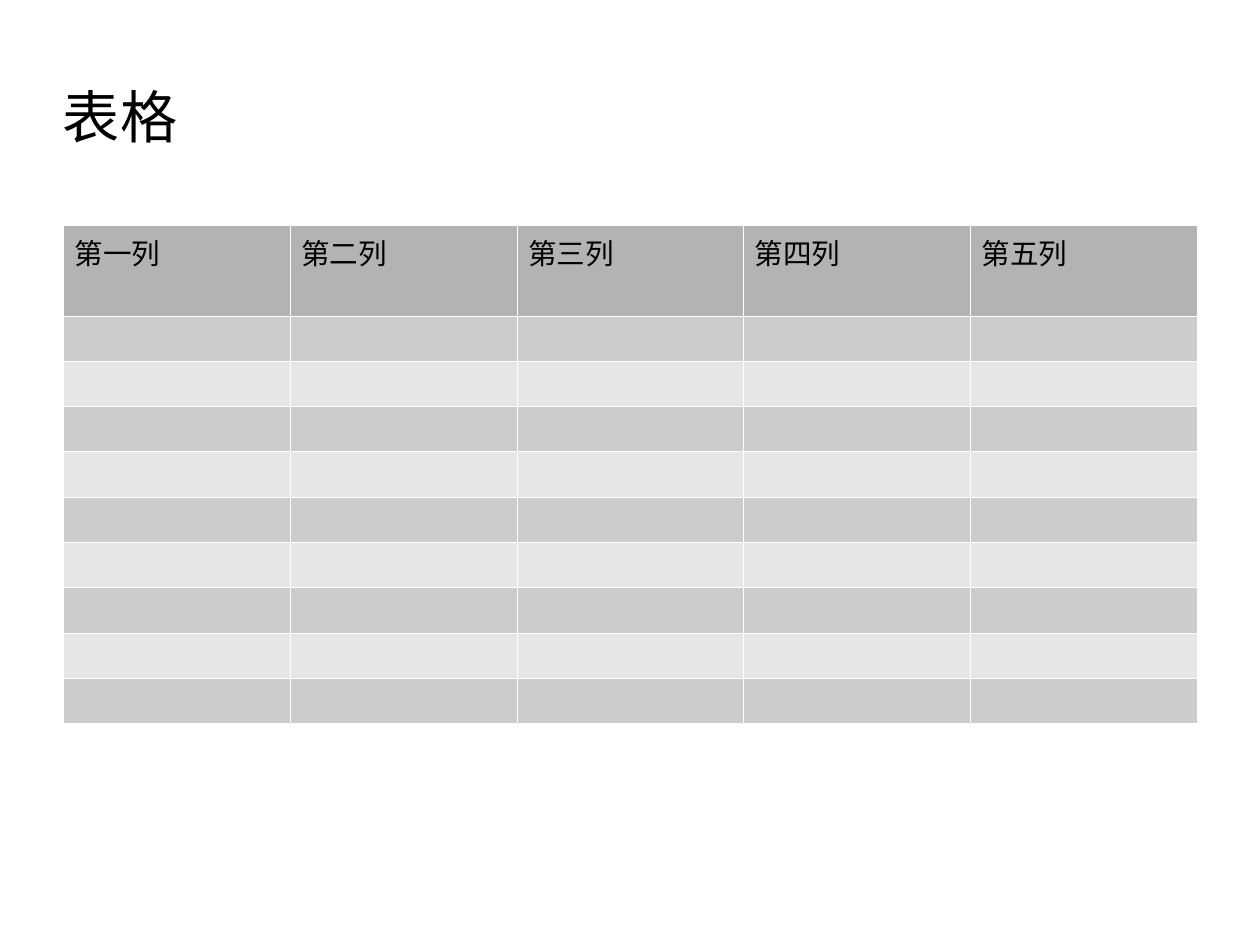
from dataclasses import dataclass

from lxml.etree import SubElement
from pptx import Presentation
from pptx.dml.color import RGBColor as Rgb
from pptx.enum.text import MSO_ANCHOR as Anchor, MSO_AUTO_SIZE as AutoSize, PP_ALIGN as Align
from pptx.oxml.ns import qn
from pptx.util import Cm, Inches, Length, Pt

SLIDE_WIDTH, SLIDE_HEIGHT = Cm(28), Cm(21)
GRID_COLUMNS, GRID_ROWS = 20, 21


@dataclass(frozen=True)
class Theme:
    font: str = "Arial"
    ink: str = "000000"
    rule: str = "FFFFFF"
    header: str = "B3B3B3"
    bands: tuple[str, str] = ("CCCCCC", "E6E6E6")
    title_size: float = 36
    header_size: float = 18
    rule_width: float = 0.06
    line_spacing: float = 0.94


@dataclass(frozen=True)
class Area:
    """A place on the slide, in grid columns and rows."""
    column: float
    row: float
    columns: float
    rows: float

    def box(self) -> tuple[Length, Length, Length, Length]:
        across, down = SLIDE_WIDTH / GRID_COLUMNS, SLIDE_HEIGHT / GRID_ROWS
        return (Length(round(self.column * across)), Length(round(self.row * down)),
                Length(round(self.columns * across)), Length(round(self.rows * down)))


THEME = Theme()
TITLE_AREA = Area(1, 1.6, 14.28, 2)
TABLE_AREA = Area(1, 5, 18, 11.08)
HEADINGS = ("第一列", "第二列", "第三列", "第四列", "第五列")
BODY_ROWS = 9
HEADER_SHARE = 2  # the header is as tall as two body rows


def write(frame, text: str, *, size: float, color: str = THEME.ink) -> None:
    frame.text = text
    paragraph = frame.paragraphs[0]
    paragraph.alignment = Align.LEFT
    paragraph.line_spacing = THEME.line_spacing
    font = paragraph.runs[0].font
    font.name, font.size, font.bold = THEME.font, Pt(size), False
    font.color.rgb = Rgb.from_string(color)


def style_cell(cell, fill: str, *, top: float, bottom: float) -> None:
    cell.margin_left = cell.margin_right = Inches(0.1)
    cell.margin_top, cell.margin_bottom = Inches(top), Inches(bottom)
    properties = cell._tc.get_or_add_tcPr()
    # Borders come before the fill in the cell's properties
    for side in ("a:lnL", "a:lnR", "a:lnT", "a:lnB"):
        border = SubElement(properties, qn(side), w=str(Pt(THEME.rule_width)))
        SubElement(SubElement(border, qn("a:solidFill")), qn("a:srgbClr"), val=THEME.rule)
    cell.fill.solid()
    cell.fill.fore_color.rgb = Rgb.from_string(fill)


def add_title(slide, text: str, area: Area) -> None:
    title = slide.shapes.title
    title.left, title.top, title.width, title.height = area.box()
    frame = title.text_frame
    frame.auto_size, frame.word_wrap = AutoSize.NONE, True
    frame.vertical_anchor = Anchor.MIDDLE
    frame.margin_left = frame.margin_right = frame.margin_bottom = 0
    frame.margin_top = Inches(0.03)
    write(frame, text, size=THEME.title_size)


def add_grid(slide, headings: tuple[str, ...], area: Area) -> None:
    left, top, width, height = area.box()
    grid = slide.shapes.add_table(BODY_ROWS + 1, len(headings), left, top, width, height).table
    unit = height // (BODY_ROWS + HEADER_SHARE)
    header, *body = grid.rows

    # Header row
    header.height = Length(unit * HEADER_SHARE)
    for cell, heading in zip(header.cells, headings):
        style_cell(cell, THEME.header, top=0.07, bottom=0.05)
        write(cell.text_frame, heading, size=THEME.header_size)

    # Banded body rows, with margins small enough to keep their height
    for index, row in enumerate(body):
        row.height = Length(unit)
        for cell in row.cells:
            style_cell(cell, THEME.bands[index % 2], top=0.03, bottom=0.03)


def main() -> None:
    deck = Presentation()
    deck.slide_width, deck.slide_height = SLIDE_WIDTH, SLIDE_HEIGHT
    slide = deck.slides.add_slide(deck.slide_layouts[5])
    add_title(slide, "表格", TITLE_AREA)
    add_grid(slide, HEADINGS, TABLE_AREA)
    deck.save("out.pptx")


if __name__ == "__main__":
    main()
